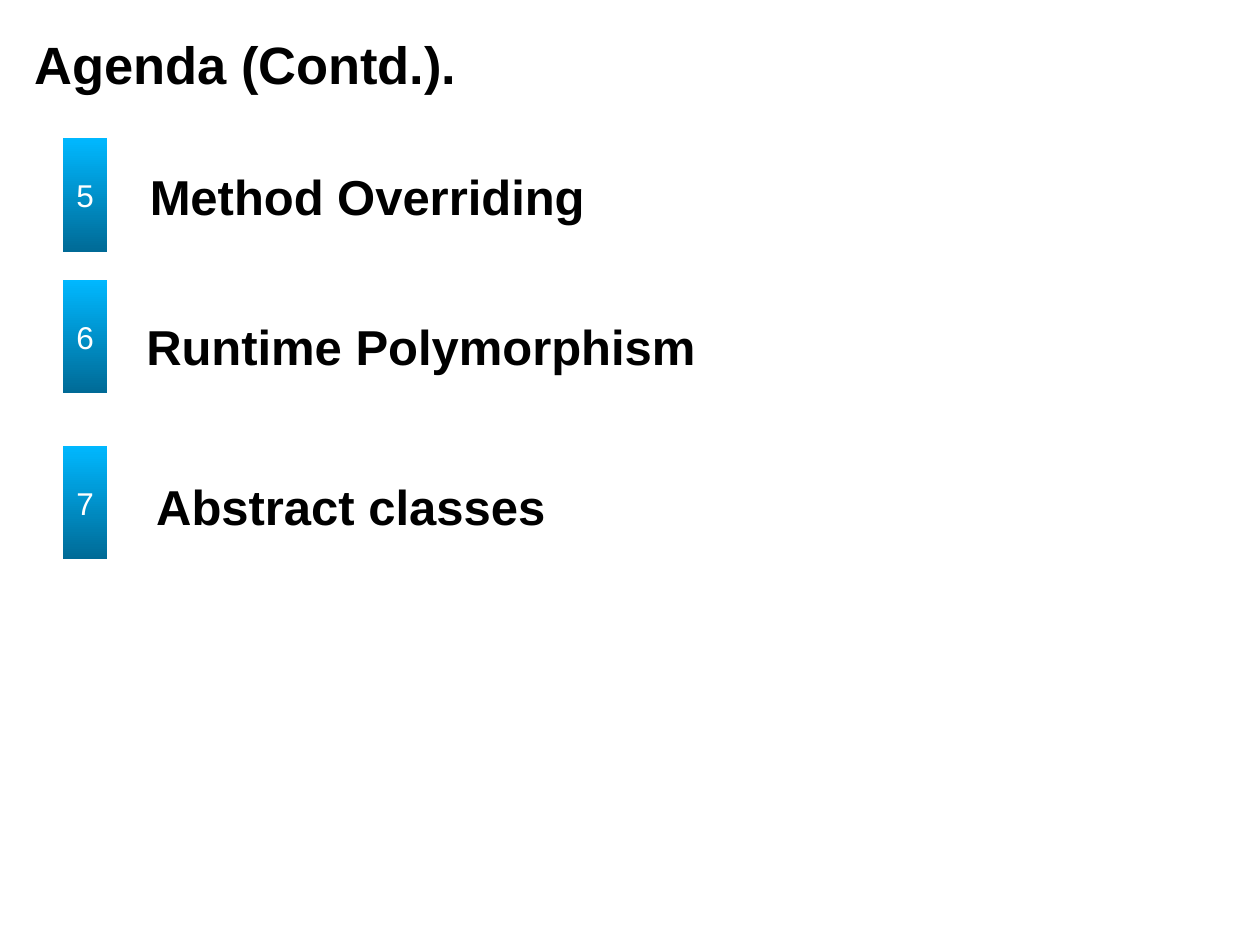
from pptx import Presentation
from pptx.dml.color import RGBColor
from pptx.enum.shapes import MSO_SHAPE as Shape
from pptx.enum.text import MSO_ANCHOR as Anchor, PP_ALIGN as Align
from pptx.util import Cm, Pt

INSET = 0.23
BADGE_LEFT, BADGE_WIDTH, BADGE_HEIGHT = 1.27, 0.89, 2.29
TOPIC_WIDTH, TOPIC_HEIGHT = 19.48, 2.06
# number, badge top, topic, topic left, topic top (cm)
AGENDA = [
    ("5", 2.79, "Method Overriding", 2.79, 3.12),
    ("6", 5.64, "Runtime Polymorphism", 2.72, 6.15),
    ("7", 8.99, "Abstract classes", 2.92, 9.37),
]


def color(value):
    return RGBColor.from_string(value)


def write(shape, text, size, fill="000000", bold=False, align=Align.LEFT,
          anchor=Anchor.TOP, inset=INSET):
    frame = shape.text_frame
    frame.word_wrap = True
    frame.vertical_anchor = anchor
    frame.margin_left = frame.margin_right = Cm(inset)
    frame.margin_top = frame.margin_bottom = Cm(inset)
    para = frame.paragraphs[0]
    para.alignment = align
    para.space_before = Pt(0)
    span = para.add_run()
    span.text = text
    span.font.name = "Arial"
    span.font.size = Pt(size)
    span.font.bold = bold
    span.font.color.rgb = color(fill)


def place_title(page, text, left, top, width, height):
    title = page.shapes.title
    title.left, title.top = Cm(left), Cm(top)
    title.width, title.height = Cm(width), Cm(height)
    write(title, text, 30, bold=True)


def add_badge(page, number, left, top, width, height):
    """Numbered block that fades from dark at the bottom to light at the top."""
    badge = page.shapes.add_shape(
        Shape.RECTANGLE, Cm(left), Cm(top), Cm(width), Cm(height))
    badge.shadow.inherit = False
    badge.line.fill.background()
    badge.fill.gradient()
    badge.fill.gradient_angle = 90
    for stop, shade in zip(badge.fill.gradient_stops, ("006A96", "00B8FF")):
        stop.color.rgb = color(shade)
    write(badge, number, 18, fill="FFFFFF", align=Align.CENTER,
          anchor=Anchor.MIDDLE, inset=0.13)


def add_topic(page, text, left, top, width, height):
    box = page.shapes.add_textbox(Cm(left), Cm(top), Cm(width), Cm(height))
    write(box, text, 28, bold=True)


def main():
    deck = Presentation()
    deck.slide_width, deck.slide_height = Cm(25.4), Cm(19.05)
    page = deck.slides.add_slide(deck.slide_layouts.get_by_name("Title Only"))
    place_title(page, "Agenda (Contd.).", 0.46, 0.41, 23.57, 1.52)
    for number, badge_top, topic, topic_left, topic_top in AGENDA:
        add_badge(page, number, BADGE_LEFT, badge_top, BADGE_WIDTH, BADGE_HEIGHT)
        add_topic(page, topic, topic_left, topic_top, TOPIC_WIDTH, TOPIC_HEIGHT)
    deck.save("out.pptx")


if __name__ == "__main__":
    main()
